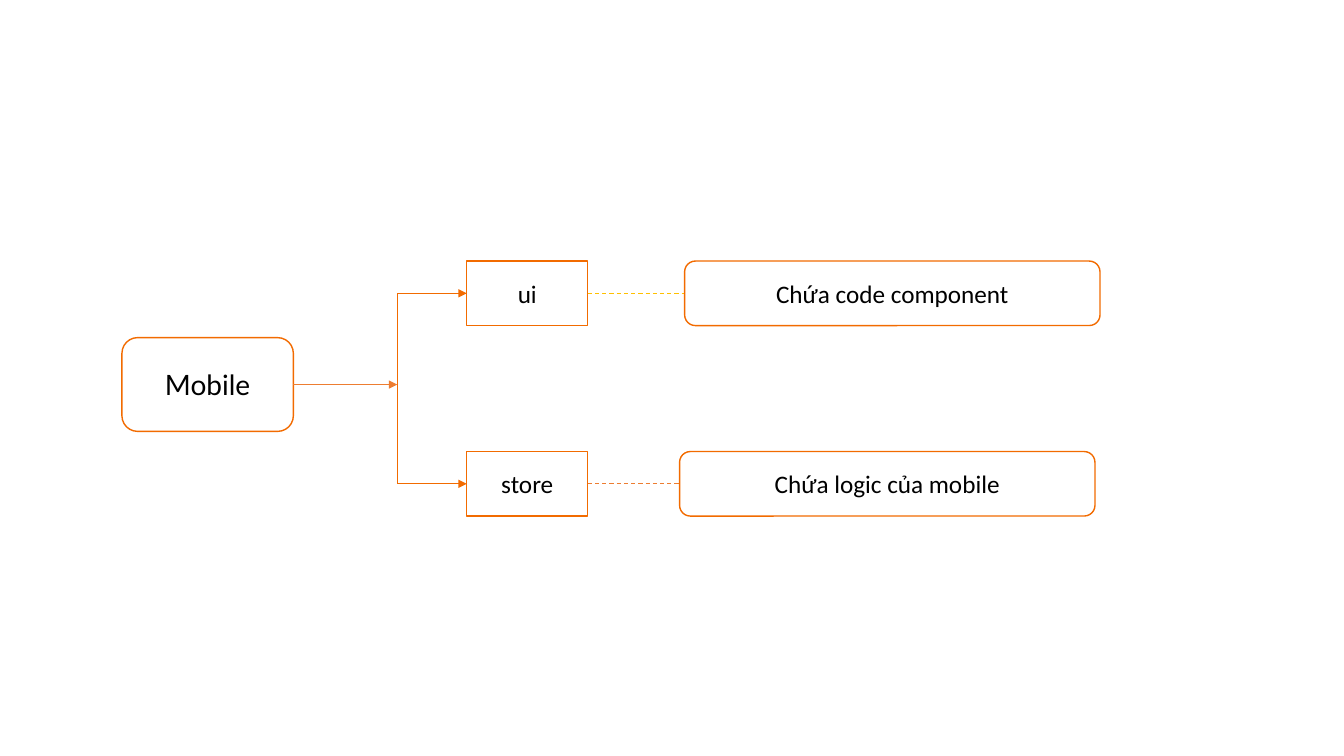
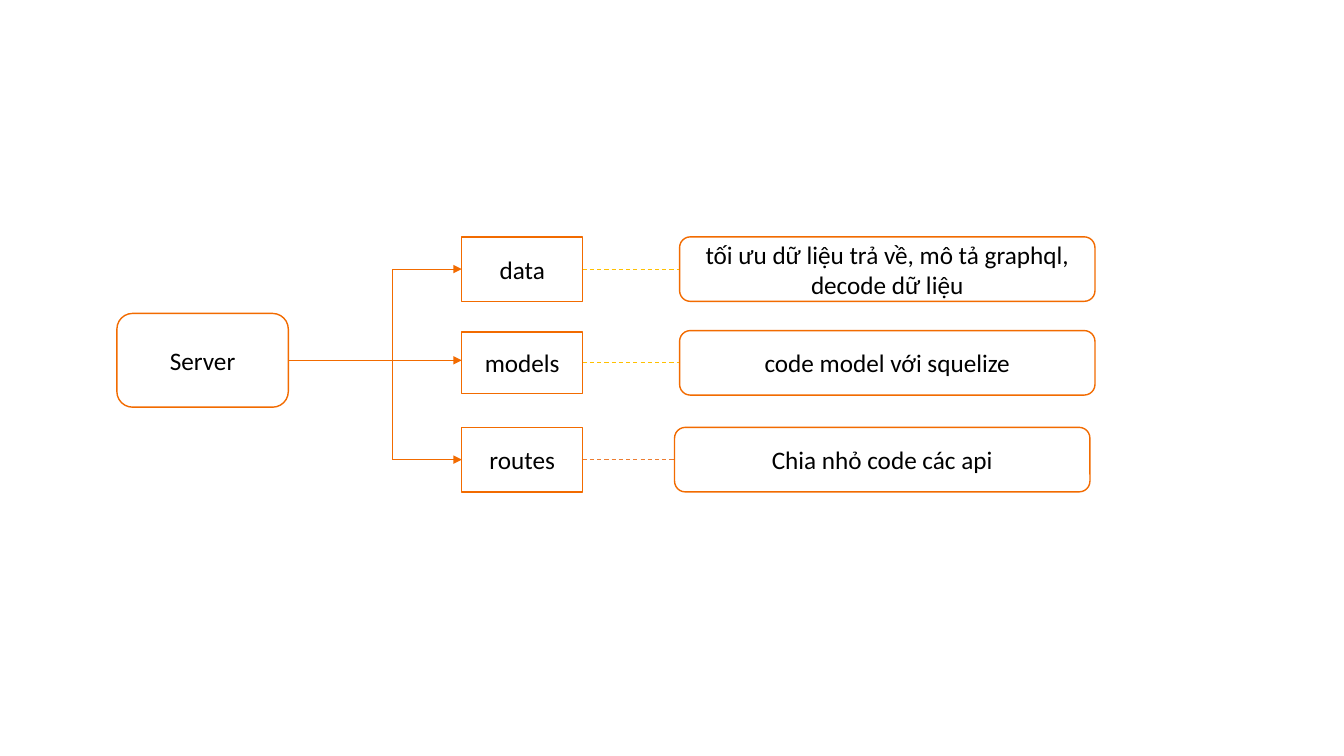
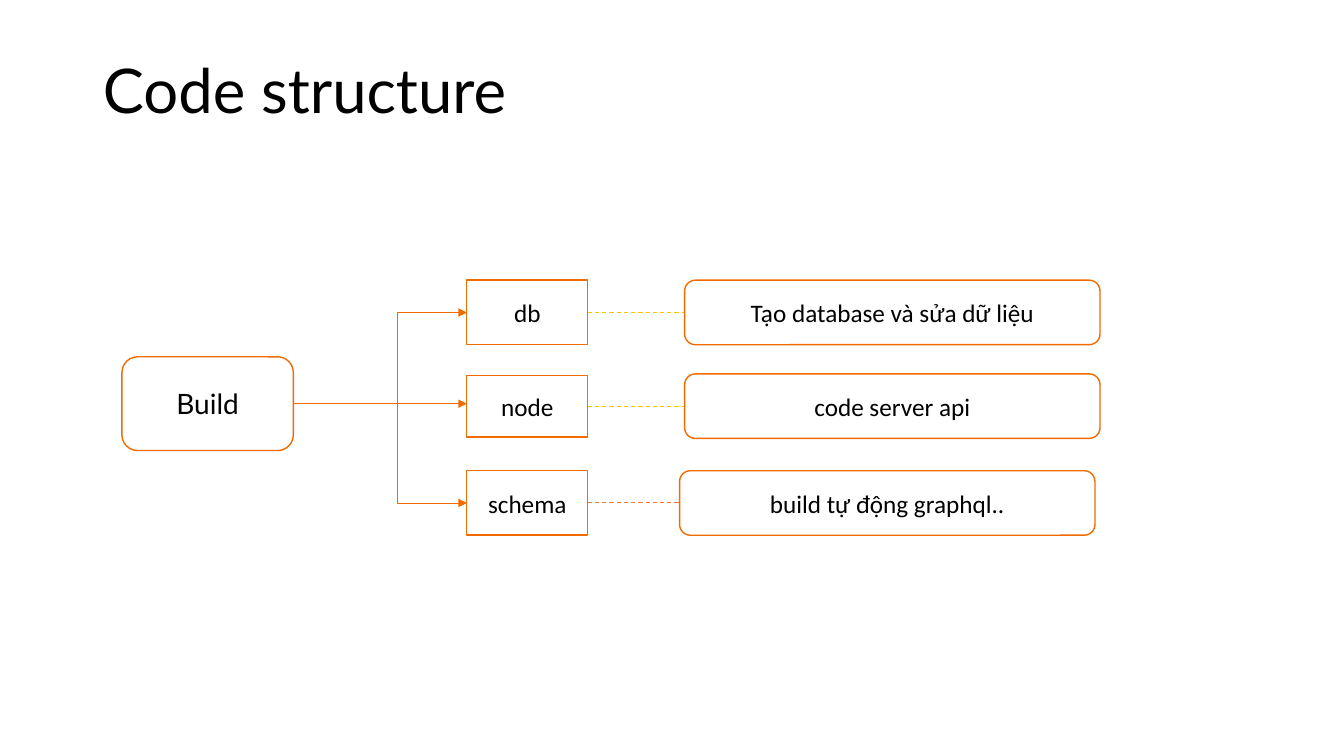
from dataclasses import dataclass
from typing import Optional

from pptx import Presentation
from pptx.dml.color import RGBColor
from pptx.enum.dml import MSO_LINE
from pptx.enum.shapes import MSO_CONNECTOR, MSO_SHAPE
from pptx.enum.text import MSO_ANCHOR, PP_ALIGN
from pptx.oxml.ns import qn
from pptx.oxml.xmlchemy import OxmlElement
from pptx.presentation import Presentation as Deck
from pptx.slide import Slide
from pptx.util import Inches, Pt

ORANGE = RGBColor(0xF2, 0x6B, 0x00)
RUST = RGBColor(0xED, 0x7D, 0x31)
GOLD = RGBColor(0xFF, 0xC0, 0x00)
BLACK = RGBColor(0, 0, 0)
BODY_FONT, HEAD_FONT = "Calibri", "Lato"
TITLE_ONLY, BLANK = 5, 6

# Columns and rows in inches, measured from the root box's top left corner
ROOT_W, ROOT_H = 1.7, 0.93
SPINE_X = 2.73
BRANCH_X, BRANCH_W = 3.42, 1.2
NOTE_W, NOTE_H = 4.12, 0.64


@dataclass(frozen=True)
class Row:
    top: float
    branch_h: float
    note_x: float
    dash: RGBColor

    @property
    def middle(self) -> float:
        return self.top + NOTE_H / 2


TOP = Row(-0.76, 0.64, 5.58, GOLD)
MIDDLE = Row(0.17, 0.61, 5.58, GOLD)
BOTTOM = Row(1.13, 0.64, 5.53, RUST)


@dataclass(frozen=True)
class Branch:
    row: Row
    name: str
    note: str


@dataclass(frozen=True)
class Tree:
    root: str
    left: float
    top: float
    branches: tuple[Branch, ...]
    root_font: str = HEAD_FONT
    root_size: int = 20
    title: Optional[str] = None


TREES = (
    Tree("Mobile", 1.21, 3.35, (
        Branch(TOP, "ui", "Chứa code component"),
        Branch(BOTTOM, "store", "Chứa logic của mobile"),
    )),
    Tree("Server", 1.16, 3.11, (
        Branch(TOP, "data", "tối ưu dữ liệu trả về, mô tả graphql, decode dữ liệu"),
        Branch(MIDDLE, "models", "code model với squelize"),
        Branch(BOTTOM, "routes", "Chia nhỏ code các api"),
    ), BODY_FONT, 18),
    Tree("Build", 1.21, 3.54, (
        Branch(TOP, "db", "Tạo database và sửa dữ liệu"),
        Branch(MIDDLE, "node", "code server api"),
        Branch(BOTTOM, "schema", "build tự động graphql.."),
    ), title="Code structure"),
)


def add_box(s: Slide, kind: MSO_SHAPE, x: float, y: float, w: float, h: float,
            text: str, font: str = BODY_FONT, size: int = 18) -> None:
    sp = s.shapes.add_shape(kind, Inches(x), Inches(y), Inches(w), Inches(h))
    sp.shadow.inherit = False
    sp.fill.background()
    sp.line.color.rgb = ORANGE
    sp.line.width = Pt(1)
    tf = sp.text_frame
    tf.word_wrap = True
    tf.vertical_anchor = MSO_ANCHOR.MIDDLE
    p = tf.paragraphs[0]
    p.text = text
    p.alignment = PP_ALIGN.CENTER
    p.font.name, p.font.size, p.font.color.rgb = font, Pt(size), BLACK


def add_line(s: Slide, x1: float, y1: float, x2: float, y2: float,
             color: RGBColor = ORANGE, arrow: bool = False, dashed: bool = False) -> None:
    line = s.shapes.add_connector(
        MSO_CONNECTOR.STRAIGHT, Inches(x1), Inches(y1), Inches(x2), Inches(y2))
    line.line.color.rgb = color
    line.line.width = Pt(0.75 if dashed else 0.5)
    if dashed:
        line.line.dash_style = MSO_LINE.DASH
    if arrow:
        tail = OxmlElement("a:tailEnd")
        tail.set("type", "triangle")
        line.line._get_or_add_ln().append(tail)
    sp_pr = line._element.find(qn("p:spPr"))
    sp_pr.append(OxmlElement("a:effectLst"))


def add_title(s: Slide, text: str) -> None:
    sp = s.shapes.title
    sp.left, sp.top, sp.width, sp.height = map(Inches, (0.92, 0.2, 11.5, 1.45))
    tf = sp.text_frame
    tf.vertical_anchor = MSO_ANCHOR.MIDDLE
    p = tf.paragraphs[0]
    p.text = text
    p.alignment = PP_ALIGN.LEFT
    p.line_spacing = 0.9
    p.font.name, p.font.size, p.font.color.rgb = HEAD_FONT, Pt(44), BLACK


def add_branch(s: Slide, tree: Tree, branch: Branch) -> None:
    """Draw a branch box, its note and the dashed line between them."""
    row = branch.row
    x, y = tree.left + BRANCH_X, tree.top + row.middle
    note_x = tree.left + row.note_x
    add_box(s, MSO_SHAPE.RECTANGLE, x, y - row.branch_h / 2,
            BRANCH_W, row.branch_h, branch.name)
    add_line(s, x + BRANCH_W, y, note_x, y, row.dash, dashed=True)
    add_box(s, MSO_SHAPE.ROUNDED_RECTANGLE, note_x, tree.top + row.top,
            NOTE_W, NOTE_H, branch.note)


def add_tree(prs: Deck, tree: Tree) -> None:
    s = prs.slides.add_slide(prs.slide_layouts[TITLE_ONLY if tree.title else BLANK])
    if tree.title:
        add_title(s, tree.title)
    add_box(s, MSO_SHAPE.ROUNDED_RECTANGLE, tree.left, tree.top, ROOT_W, ROOT_H,
            tree.root, tree.root_font, tree.root_size)

    spine, branch_x = tree.left + SPINE_X, tree.left + BRANCH_X
    root_y = tree.top + ROOT_H / 2
    has_middle = any(b.row is MIDDLE for b in tree.branches)
    add_line(s, tree.left + ROOT_W, root_y, branch_x if has_middle else spine, root_y,
             ORANGE if has_middle else RUST, arrow=True)
    add_line(s, spine, tree.top + TOP.middle, spine, tree.top + BOTTOM.middle)
    for row in (TOP, BOTTOM):
        y = tree.top + row.middle
        add_line(s, spine, y, branch_x, y, arrow=True)
    for branch in tree.branches:
        add_branch(s, tree, branch)


def main() -> None:
    prs = Presentation()
    prs.slide_width, prs.slide_height = Inches(13.33), Inches(7.5)
    for tree in TREES:
        add_tree(prs, tree)
    prs.save("out.pptx")


if __name__ == "__main__":
    main()
